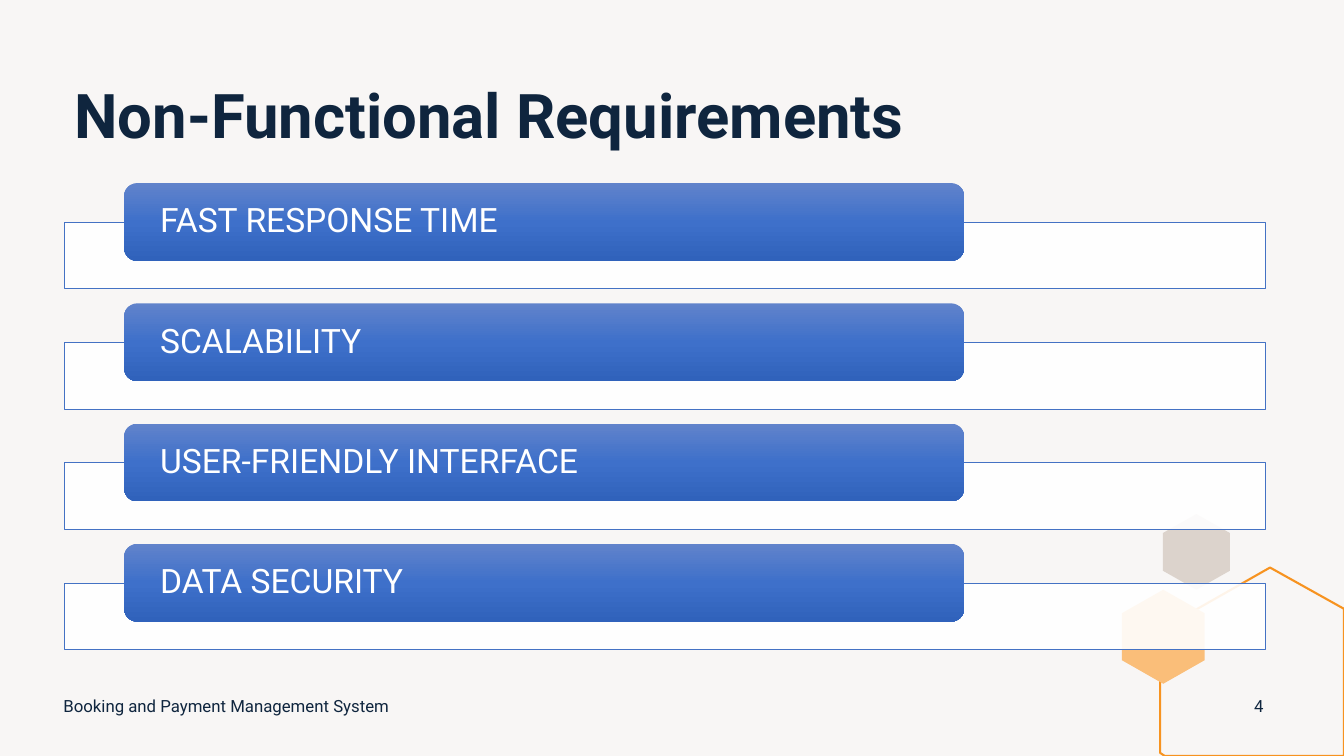
"""Build the slide on non-functional requirements."""
import copy

import pptx
import pptx.dml.color
import pptx.enum.shapes
import pptx.enum.text
import pptx.oxml.ns
import pptx.util

Pt = pptx.util.Pt
RGBColor = pptx.dml.color.RGBColor
Shape = pptx.enum.shapes.MSO_SHAPE
Anchor = pptx.enum.text.MSO_ANCHOR
Align = pptx.enum.text.PP_ALIGN

PAPER = RGBColor(0xF8, 0xF6, 0xF5)
NAVY = RGBColor(0x0F, 0x25, 0x3E)
WHITE = RGBColor(0xFF, 0xFF, 0xFF)
BLUE = RGBColor(0x44, 0x72, 0xC4)
BAR_TOP = RGBColor(0x61, 0x83, 0xCB)
BAR_MIDDLE = RGBColor(0x3E, 0x70, 0xCA)
BAR_BOTTOM = RGBColor(0x30, 0x62, 0xBB)
SAND = RGBColor(0xDC, 0xD3, 0xCC)
APRICOT = RGBColor(0xFA, 0xBE, 0x79)
ORANGE = RGBColor(0xF7, 0x93, 0x20)

REQUIREMENTS = ["FAST RESPONSE TIME", "SCALABILITY", "USER-FRIENDLY INTERFACE", "DATA SECURITY"]
ROW_PITCH = 85.9


class Sheet:
    """Hold the style and the current slide."""

    font_name = "Roboto"

    def __init__(self, page):
        self.page = page
        page.background.fill.solid()
        page.background.fill.fore_color.rgb = PAPER

    def set_text(self, shape, text, size, color, anchor, inset=7.2, bold=False, align=Align.LEFT):
        frame = shape.text_frame
        frame.word_wrap = True
        frame.auto_size = pptx.enum.text.MSO_AUTO_SIZE.NONE
        frame.vertical_anchor = anchor
        frame.margin_left = frame.margin_right = Pt(inset)
        frame.margin_top = frame.margin_bottom = Pt(3.6)
        frame.text = text
        para = frame.paragraphs[0]
        para.alignment = align
        para.font.name = self.font_name
        para.font.size = Pt(size)
        para.font.bold = bold
        para.font.color.rgb = color
        return para

    def title(self, text, left, top, width, height):
        box = self.page.shapes.title
        box.left, box.top, box.width, box.height = Pt(left), Pt(top), Pt(width), Pt(height)
        para = self.set_text(box, text, 44, NAVY, Anchor.TOP, bold=True)
        para.line_spacing = 0.9

    def label(self, text, left, top, width, height, align=Align.LEFT):
        box = self.page.shapes.add_textbox(Pt(left), Pt(top), Pt(width), Pt(height))
        self.set_text(box, text, 12, NAVY, Anchor.MIDDLE, align=align)

    def outline(self, points, fill=None, line=None):
        corners = [(Pt(x), Pt(y)) for x, y in points]
        builder = self.page.shapes.build_freeform(*corners[0], scale=1.0)
        builder.add_line_segments(corners[1:], close=True)
        shape = builder.convert_to_shape()
        shape.shadow.inherit = False
        if fill is None:
            shape.fill.background()
        else:
            shape.fill.solid()
            shape.fill.fore_color.rgb = fill
        if line is None:
            shape.line.fill.background()
        else:
            shape.line.color.rgb = line
            shape.line.width = Pt(1.5)

    def hexagon(self, left, top, width, height, fill):
        middle, right = left + width / 2, left + width
        upper, lower = top + height / 4, top + height * 3 / 4
        self.outline([(middle, top), (right, upper), (right, lower),
                      (middle, top + height), (left, lower), (left, upper)], fill=fill)

    def panel(self, left, top, width, height):
        shape = self.page.shapes.add_shape(Shape.RECTANGLE, Pt(left), Pt(top), Pt(width), Pt(height))
        shape.shadow.inherit = False
        shape.fill.solid()
        shape.fill.fore_color.rgb = WHITE
        color = shape.element.spPr.find(".//" + pptx.oxml.ns.qn("a:srgbClr"))
        color.append(color.makeelement(pptx.oxml.ns.qn("a:alpha"), {"val": "90000"}))
        shape.line.color.rgb = BLUE
        shape.line.width = Pt(0.5)

    def bar(self, text, left, top, width, height):
        shape = self.page.shapes.add_shape(
            Shape.ROUNDED_RECTANGLE, Pt(left), Pt(top), Pt(width), Pt(height))
        shape.shadow.inherit = False
        shape.line.fill.background()
        shape.fill.gradient()
        shape.fill.gradient_angle = 270
        stops = shape.element.spPr.find(".//" + pptx.oxml.ns.qn("a:gsLst"))
        stops.insert(1, copy.deepcopy(stops[0]))
        for stop, position, color in zip(
                shape.fill.gradient_stops, (0, 0.5, 1), (BAR_TOP, BAR_MIDDLE, BAR_BOTTOM)):
            stop.position = position
            stop.color.rgb = color
        para = self.set_text(shape, text, 24, WHITE, Anchor.MIDDLE, inset=23)
        para.line_spacing = 0.9


def main():
    deck = pptx.Presentation()
    deck.slide_width, deck.slide_height = Pt(960), Pt(540)
    sheet = Sheet(deck.slides.add_slide(deck.slide_layouts[5]))

    sheet.hexagon(830.7, 367.2, 47.8, 54, SAND)
    sheet.outline([(907.2, 405.4), (960, 434.9), (960, 540), (832, 540), (828.7, 537.8), (828.7, 450)],
                  line=ORANGE)
    sheet.hexagon(801.4, 421.2, 59, 67.2, APRICOT)

    sheet.title("Non-Functional Requirements", 46, 57, 857.5, 111.5)
    sheet.label("Booking and Payment Management System", 38.2, 489.6, 324, 28.8)
    sheet.label("4", 881.3, 489.6, 36, 28.8, Align.CENTER)

    for row, requirement in enumerate(REQUIREMENTS):
        offset = row * ROW_PITCH
        sheet.panel(46, 158.7 + offset, 857.5, 47.5)
        sheet.bar(requirement, 88.7, 130.8 + offset, 600, 55.5)

    deck.save("out.pptx")


if __name__ == "__main__":
    main()
